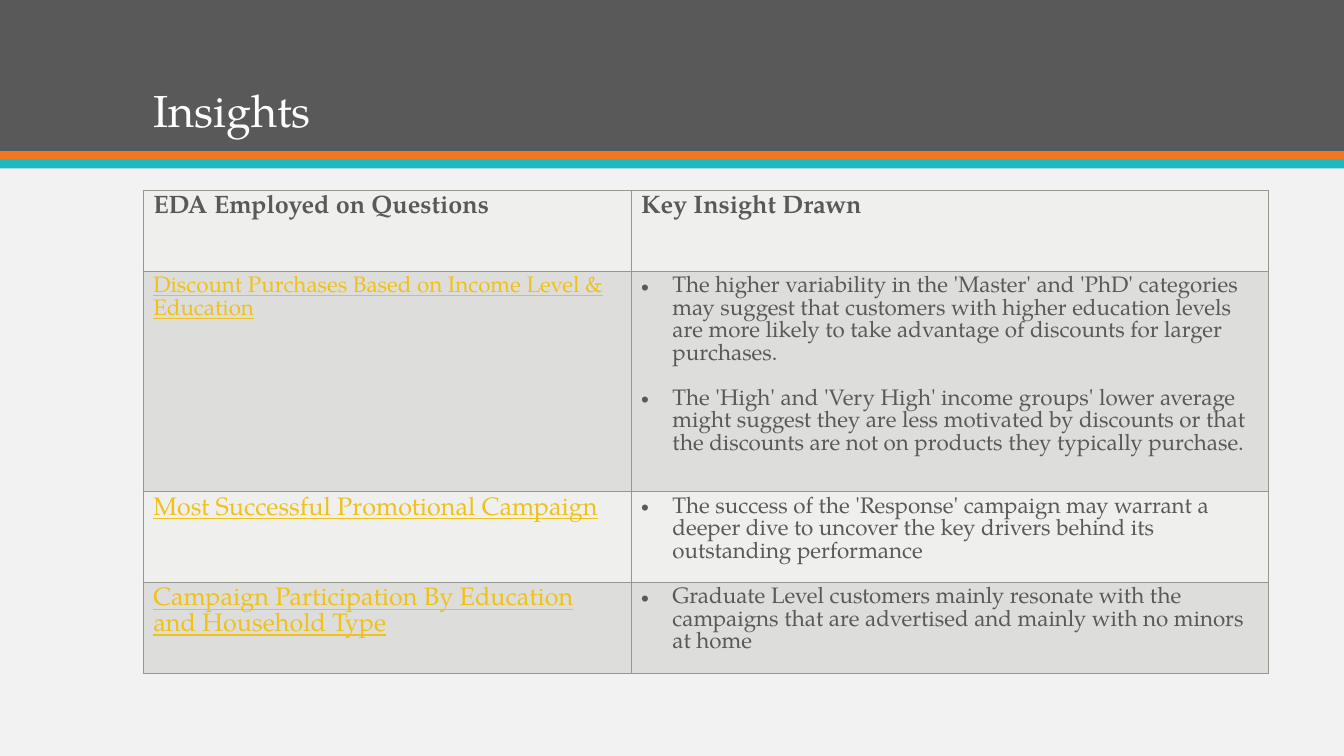
from lxml import etree
from pptx import Presentation
from pptx.dml.color import RGBColor
from pptx.enum.shapes import MSO_SHAPE
from pptx.enum.text import MSO_ANCHOR
from pptx.oxml.ns import qn
from pptx.util import Inches, Pt

RECT = MSO_SHAPE.RECTANGLE
BOTTOM = MSO_ANCHOR.BOTTOM
FONT = "TeX Gyre Pagella"
COLORS = {
    "back": "F2F2F2", "dark": "595959", "orange": "EF7920", "teal": "1EB8C1",
    "white": "FFFFFF", "gold": "EFC119", "rule": "969890",
    "light": "EFEFEE", "shade": "DDDDDB",
}
BANDS = [(0, 1.5, "dark"), (1.5, 0.09, "orange"), (1.58, 0.09, "teal")]
WIDTHS = [4.84, 6.32]
HEIGHTS = [0.8, 1.88, 0.8, 0.8]
HEADS = ["EDA Employed on Questions", "Key Insight Drawn"]
# Question, its text size, and the insights drawn from it
ROWS = [
    ("Discount Purchases Based on Income Level & Education", 16, [
        "The higher variability in the 'Master' and 'PhD' categories may suggest "
        "that customers with higher education levels are more likely to take "
        "advantage of discounts for larger purchases.",
        "The 'High' and 'Very High' income groups' lower average might suggest "
        "they are less motivated by discounts or that the discounts are not on "
        "products they typically purchase."]),
    ("Most Successful Promotional Campaign", 18, [
        "The success of the 'Response' campaign may warrant a deeper dive to "
        "uncover the key drivers behind its outstanding performance"]),
    ("Campaign Participation By Education and Household Type", 18, [
        "Graduate Level customers mainly resonate with the campaigns that are "
        "advertised and mainly with no minors at home"]),
]


def color(name):
    return RGBColor.from_string(COLORS[name])


def paint(fill, name):
    fill.solid()
    fill.fore_color.rgb = color(name)


def add_bullet(para):
    props = para._p.get_or_add_pPr()
    props.set("marL", str(Inches(0.31)))
    props.set("indent", str(Inches(-0.31)))
    etree.SubElement(props, qn("a:buFont"), typeface="Arial")
    etree.SubElement(props, qn("a:buChar"), char="•")


def write(frame, texts, size=16, tint="dark", bold=False, line=False,
          bullet=False, gap=0, pitch=None):
    """Fill a text frame with one paragraph per text."""
    frame.word_wrap = True
    for num, text in enumerate(texts):
        para = frame.paragraphs[0] if num == 0 else frame.add_paragraph()
        if bullet:
            add_bullet(para)
        if num and gap:
            para.space_before = Pt(gap)
        if pitch:
            para.line_spacing = pitch
        run = para.add_run()
        run.text = text
        font = run.font
        font.name, font.size = FONT, Pt(size)
        font.bold, font.underline = bold, line
        font.color.rgb = color(tint)


def add_band(slide, top, height, tint):
    band = slide.shapes.add_shape(
        RECT, 0, Inches(top), Inches(13.33), Inches(height))
    band.shadow.inherit = False
    paint(band.fill, tint)
    band.line.fill.background()


def add_title(slide, text):
    box = slide.shapes.add_textbox(
        Inches(1.42), Inches(0.28), Inches(10.5), Inches(1.13))
    box.text_frame.vertical_anchor = BOTTOM
    write(box.text_frame, [text], size=32, tint="white", pitch=0.9)


def style_cell(cell, tint):
    """Draw the four borders of a cell and fill it."""
    props = cell._tc.get_or_add_tcPr()
    for side in ("lnL", "lnR", "lnT", "lnB"):
        edge = etree.SubElement(props, qn(f"a:{side}"), w=str(Pt(1)))
        solid = etree.SubElement(edge, qn("a:solidFill"))
        etree.SubElement(solid, qn("a:srgbClr"), val=COLORS["rule"])
    paint(cell.fill, tint)


def add_grid(slide):
    table = slide.shapes.add_table(
        len(HEIGHTS), len(WIDTHS), Inches(1.42), Inches(1.89),
        Inches(sum(WIDTHS)), Inches(sum(HEIGHTS))).table
    for col, width in zip(table.columns, WIDTHS):
        col.width = Inches(width)
    for num, height in enumerate(HEIGHTS):
        table.rows[num].height = Inches(height)
        for cell in table.rows[num].cells:
            style_cell(cell, "shade" if num % 2 else "light")
    for col, head in enumerate(HEADS):
        write(table.cell(0, col).text_frame, [head], size=18, bold=True)
    for num, (topic, size, notes) in enumerate(ROWS, 1):
        write(table.cell(num, 0).text_frame, [topic], size=size,
              tint="gold", line=True)
        write(table.cell(num, 1).text_frame, notes, bullet=True, gap=16)


def main():
    deck = Presentation()
    deck.slide_width, deck.slide_height = Inches(13.33), Inches(7.5)
    slide = deck.slides.add_slide(deck.slide_layouts[6])
    paint(slide.background.fill, "back")
    for band in BANDS:
        add_band(slide, *band)
    add_title(slide, "Insights")
    add_grid(slide)
    deck.save("out.pptx")


if __name__ == "__main__":
    main()
